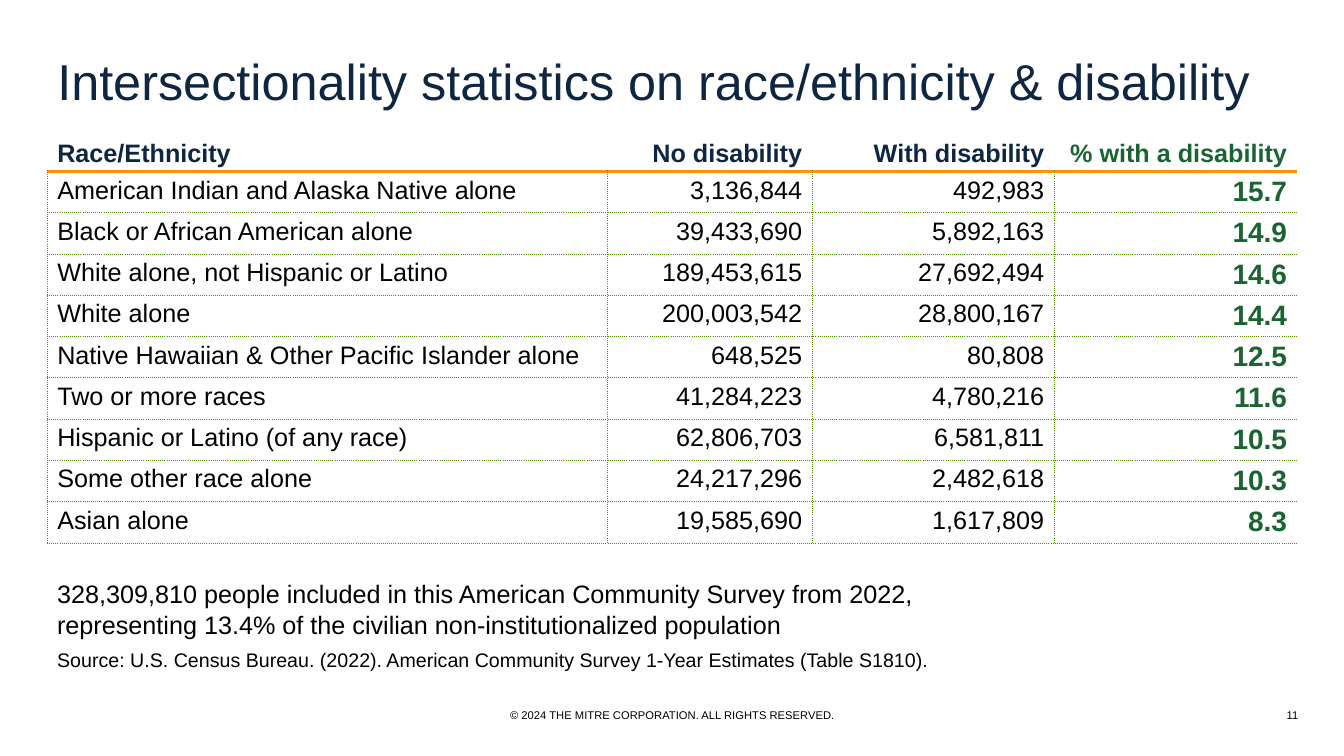
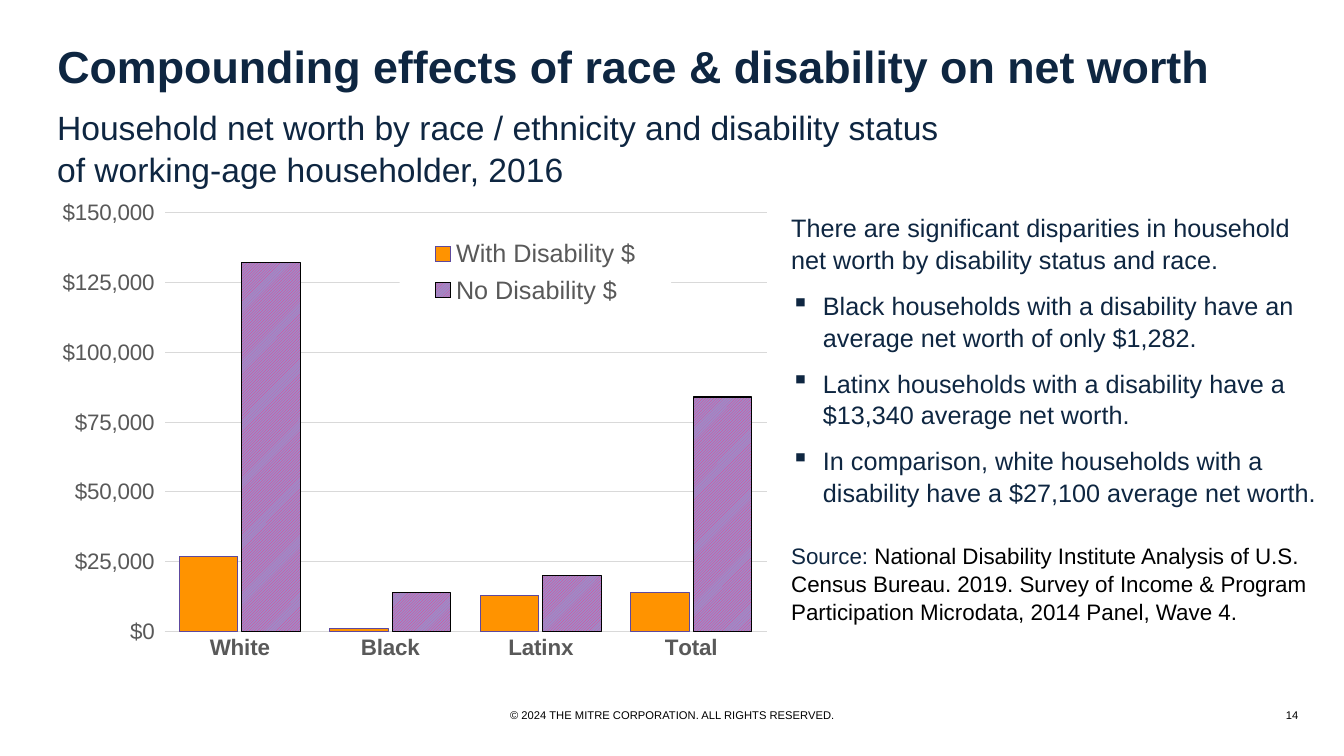
from lxml import etree
from pptx import Presentation
from pptx.chart import data as chart_data
from pptx.dml import color
from pptx.enum import chart as chart_enum
from pptx.enum import dml, text
from pptx.oxml import ns
from pptx.util import Cm, Pt

NAVY, BLACK, WHITE = "0E2641", "000000", "FFFFFF"
GREEN, LEAF, ORANGE = "1A6431", "4E8F00", "FF9300"
GREY, PALE = "595959", "D9D9D9"
PURPLE, PINK, LILAC = "5D499E", "FF2D80", "9B8DCA"
FONT = "Arial"
MARGIN, CONTENT_WIDTH = 1.19, 31.5
LEADING = 1.05
LEFT, CENTER, RIGHT = text.PP_ALIGN.LEFT, text.PP_ALIGN.CENTER, text.PP_ALIGN.RIGHT
TOP, MIDDLE, BOTTOM = (text.MSO_ANCHOR.TOP, text.MSO_ANCHOR.MIDDLE,
                       text.MSO_ANCHOR.BOTTOM)

COPYRIGHT = "© 2024 THE MITRE CORPORATION. ALL RIGHTS RESERVED."
HEADINGS = ["Race/Ethnicity", "No disability", "With disability", "% with a disability"]
POPULATION = [
    ("American Indian and Alaska Native alone", "3,136,844", "492,983", "15.7"),
    ("Black or African American alone", "39,433,690", "5,892,163", "14.9"),
    ("White alone, not Hispanic or Latino", "189,453,615", "27,692,494", "14.6"),
    ("White alone", "200,003,542", "28,800,167", "14.4"),
    ("Native Hawaiian & Other Pacific Islander alone", "648,525", "80,808", "12.5"),
    ("Two or more races", "41,284,223", "4,780,216", "11.6"),
    ("Hispanic or Latino (of any race)", "62,806,703", "6,581,811", "10.5"),
    ("Some other race alone", "24,217,296", "2,482,618", "10.3"),
    ("Asian alone", "19,585,690", "1,617,809", "8.3"),
]
GROUPS = ["White", "Black", "Latinx", "Total"]
NET_WORTH = {
    "With Disability $": (27000, 1000, 13000, 14000),
    "No Disability $": (132000, 14000, 20000, 84000),
}
FINDINGS = [
    "Black households with a disability have an average net worth of only $1,282.",
    "Latinx households with a disability have a $13,340 average net worth.",
    "In comparison, white households with a disability have a $27,100 average net worth.",
]


def rgb(value):
    return color.RGBColor.from_string(value)


def apply(target, **values):
    for name, value in values.items():
        setattr(target, name, value)


def style_font(font, size, ink, bold=False):
    apply(font, name=FONT, size=Pt(size), bold=bold)
    font.color.rgb = rgb(ink)


def add_text(paragraph, words, size, ink, bold=False):
    for number, line in enumerate(words.split("\n")):
        if number:
            paragraph.add_line_break()
        run = paragraph.add_run()
        run.text = line
        style_font(run.font, size, ink, bold)


def add_box(slide, box, inset=True, anchor=TOP):
    frame = slide.shapes.add_textbox(*map(Cm, box)).text_frame
    apply(frame, word_wrap=True, vertical_anchor=anchor)
    if not inset:
        apply(frame, margin_left=0, margin_right=0, margin_top=0, margin_bottom=0)
    return frame


def set_bullet(paragraph, indent):
    properties = paragraph._p.get_or_add_pPr()
    properties.set("marL", str(Cm(indent)))
    properties.set("indent", str(-Cm(indent)))
    etree.SubElement(properties, ns.qn("a:buChar")).set("char", "▪")


def add_title(slide, words, top, height, size, bold=False):
    title = slide.shapes.title
    apply(title, left=Cm(MARGIN), top=Cm(top), width=Cm(CONTENT_WIDTH), height=Cm(height))
    frame = title.text_frame
    apply(frame, word_wrap=True, auto_size=text.MSO_AUTO_SIZE.NONE, vertical_anchor=TOP)
    paragraph = frame.paragraphs[0]
    paragraph.alignment = LEFT
    add_text(paragraph, words, size, NAVY, bold)


def add_footer(slide, number):
    for words, left, width, alignment in (
        (COPYRIGHT, 4.7, 24.5, CENTER),
        (number, 31, 1.72, RIGHT),
    ):
        frame = add_box(slide, (left, 17.78, width, 0.5), False, MIDDLE)
        frame.paragraphs[0].alignment = alignment
        add_text(frame.paragraphs[0], words, 8, BLACK)


def set_borders(cell, borders):
    properties = cell._tc.get_or_add_tcPr()
    for position, side in enumerate("LRTB"):
        line = etree.Element(ns.qn(f"a:ln{side}"))
        if side in borders:
            ink, width, dash = borders[side]
            line.set("w", str(Pt(width)))
            fill = etree.SubElement(line, ns.qn("a:solidFill"))
            etree.SubElement(fill, ns.qn("a:srgbClr")).set("val", ink)
            etree.SubElement(line, ns.qn("a:prstDash")).set("val", dash)
        else:
            etree.SubElement(line, ns.qn("a:noFill"))
        properties.insert(position, line)


def add_population_table(slide, left, top):
    widths, row_height = [14.12, 5.16, 6.1, 6.12], 1.04
    rows = [HEADINGS, *POPULATION]
    table = slide.shapes.add_table(
        len(rows), len(widths), Cm(left), Cm(top),
        Cm(sum(widths)), Cm(row_height * len(rows))).table
    apply(table, first_row=False, horz_banding=False)
    for column, width in zip(table.columns, widths):
        column.width = Cm(width)
    rule = (ORANGE, 2.25, "solid")
    dots = (LEAF, 0.5, "sysDot")
    blank = (WHITE, 1, "solid")
    last = len(widths) - 1
    for r, row in enumerate(rows):
        table.rows[r].height = Cm(row_height)
        for c, words in enumerate(row):
            cell = table.cell(r, c)
            apply(cell, margin_top=Cm(0.12), margin_bottom=Cm(0.1),
                  vertical_anchor=TOP if r else BOTTOM)
            paragraph = cell.text_frame.paragraphs[0]
            paragraph.alignment = RIGHT if c else LEFT
            is_share = c == last
            ink = GREEN if is_share else BLACK if r else NAVY
            add_text(paragraph, words, 20 if r and is_share else 18, ink,
                     is_share or not r)
            if r:
                cell.fill.solid()
                cell.fill.fore_color.rgb = rgb(WHITE)
                borders = {"L": dots, "R": dots, "T": dots if r > 1 else rule, "B": dots}
            else:
                cell.fill.background()
                borders = {"L": blank, "R": blank, "B": rule}
            if is_share:
                del borders["R"]
            set_borders(cell, borders)


def add_survey_note(slide, box):
    frame = add_box(slide, box)
    survey = frame.paragraphs[0]
    apply(survey, line_spacing=LEADING, space_after=Pt(6))
    add_text(survey, "328,309,810 people included in this American Community Survey "
             "from 2022,\nrepresenting 13.4% of the civilian non-institutionalized "
             "population", 18, BLACK)
    add_text(frame.add_paragraph(), "Source: U.S. Census Bureau. (2022). American "
             "Community Survey 1-Year Estimates (Table S1810).", 14, BLACK)


def set_layout(parent, position, inner=False, **fractions):
    for old in parent.findall(ns.qn("c:layout")):
        parent.remove(old)
    layout = etree.Element(ns.qn("c:layout"))
    manual = etree.SubElement(layout, ns.qn("c:manualLayout"))
    values = {"layoutTarget": "inner"} if inner else {}
    values |= {"xMode": "edge", "yMode": "edge", **fractions}
    for name, value in values.items():
        etree.SubElement(manual, ns.qn(f"c:{name}")).set("val", str(value))
    parent.insert(position, layout)


def set_line(line, ink):
    line.color.rgb = rgb(ink)
    line.width = Pt(0.75)


def style_legend(chart):
    chart.has_legend = True
    legend = chart.legend
    apply(legend, position=chart_enum.XL_LEGEND_POSITION.CORNER, include_in_layout=True)
    style_font(legend.font, 18, GREY)
    element = chart.element.find(".//" + ns.qn("c:legend"))
    set_layout(element, 1, x=0.48, y=0.08, w=0.37, h=0.17)
    background = etree.Element(ns.qn("c:spPr"))
    fill = etree.SubElement(background, ns.qn("a:solidFill"))
    etree.SubElement(fill, ns.qn("a:srgbClr")).set("val", WHITE)
    element.find(ns.qn("c:overlay")).addnext(background)


def style_axes(chart):
    groups, dollars = chart.category_axis, chart.value_axis
    for axis in (groups, dollars):
        apply(axis, major_tick_mark=chart_enum.XL_TICK_MARK.NONE,
              minor_tick_mark=chart_enum.XL_TICK_MARK.NONE)
        style_font(axis.tick_labels.font, 16, GREY, axis is groups)
    set_line(groups.format.line, PALE)
    apply(dollars, minimum_scale=0, maximum_scale=150000, major_unit=25000,
          has_major_gridlines=True)
    set_line(dollars.major_gridlines.format.line, PALE)
    dollars.format.line.fill.background()
    apply(dollars.tick_labels, number_format='"$"#,##0_);[Red]\\("$"#,##0\\)',
          number_format_is_linked=False)


def add_net_worth_chart(slide, box):
    worth = chart_data.CategoryChartData()
    worth.categories = GROUPS
    for name, values in NET_WORTH.items():
        worth.add_series(name, values)
    chart = slide.shapes.add_chart(
        chart_enum.XL_CHART_TYPE.COLUMN_CLUSTERED, *map(Cm, box), worth).chart
    chart.has_title = False
    style_font(chart.font, 14, BLACK)
    style_axes(chart)
    style_legend(chart)
    plot = chart.plots[0]
    apply(plot, gap_width=50, overlap=-7, vary_by_categories=False)
    with_disability, no_disability = plot.series
    with_disability.format.fill.solid()
    with_disability.format.fill.fore_color.rgb = rgb(ORANGE)
    set_line(with_disability.format.line, PURPLE)
    stripes = no_disability.format.fill
    stripes.patterned()
    stripes.pattern = dml.MSO_PATTERN.DARK_UPWARD_DIAGONAL
    stripes.fore_color.rgb = rgb(PINK)
    stripes.back_color.rgb = rgb(LILAC)
    set_line(no_disability.format.line, BLACK)
    set_layout(chart.element.find(".//" + ns.qn("c:plotArea")), 0, inner=True,
               x=0.16, y=0.04, w=0.82, h=0.88)


def add_findings(slide, box):
    frame = add_box(slide, box)
    summary = frame.paragraphs[0]
    add_text(summary, "There are significant disparities in household net worth by "
             "disability status and race.", 18, NAVY)
    for words in FINDINGS:
        finding = frame.add_paragraph()
        set_bullet(finding, 0.8)
        finding.space_before = Pt(10)
        add_text(finding, words, 18, NAVY)
    source = frame.add_paragraph()
    source.space_before = Pt(24)
    add_text(source, "Source: ", 16, NAVY)
    add_text(source, "National Disability Institute Analysis of U.S. Census Bureau. "
             "2019. Survey of Income & Program Participation Microdata, 2014 Panel, "
             "Wave 4.", 16, BLACK)
    for paragraph in frame.paragraphs:
        paragraph.line_spacing = LEADING


def build_statistics(slide):
    add_title(slide, "Intersectionality statistics on race/ethnicity & disability",
              1.14, 2, 36)
    add_population_table(slide, MARGIN, 3.28)
    add_survey_note(slide, (MARGIN, 14.4, 31.8, 3))
    add_footer(slide, "11")


def build_net_worth(slide):
    add_title(slide, "Compounding effects of race & disability on net worth",
              0.86, 1.6, 32, True)
    subtitle = add_box(slide, (MARGIN, 2.52, CONTENT_WIDTH, 2.4)).paragraphs[0]
    subtitle.line_spacing = LEADING
    add_text(subtitle, "Household net worth by race / ethnicity and disability status\n"
             "of working-age householder, 2016", 24, NAVY)
    add_net_worth_chart(slide, (MARGIN, 4.88, 18.5, 12))
    add_findings(slide, (19.69, 5.2, 13.97, 11))
    add_footer(slide, "14")


def main():
    deck = Presentation()
    apply(deck, slide_width=Cm(33.87), slide_height=Cm(19.05))
    for build in (build_statistics, build_net_worth):
        build(deck.slides.add_slide(deck.slide_layouts[5]))
    deck.save("out.pptx")


if __name__ == "__main__":
    main()
